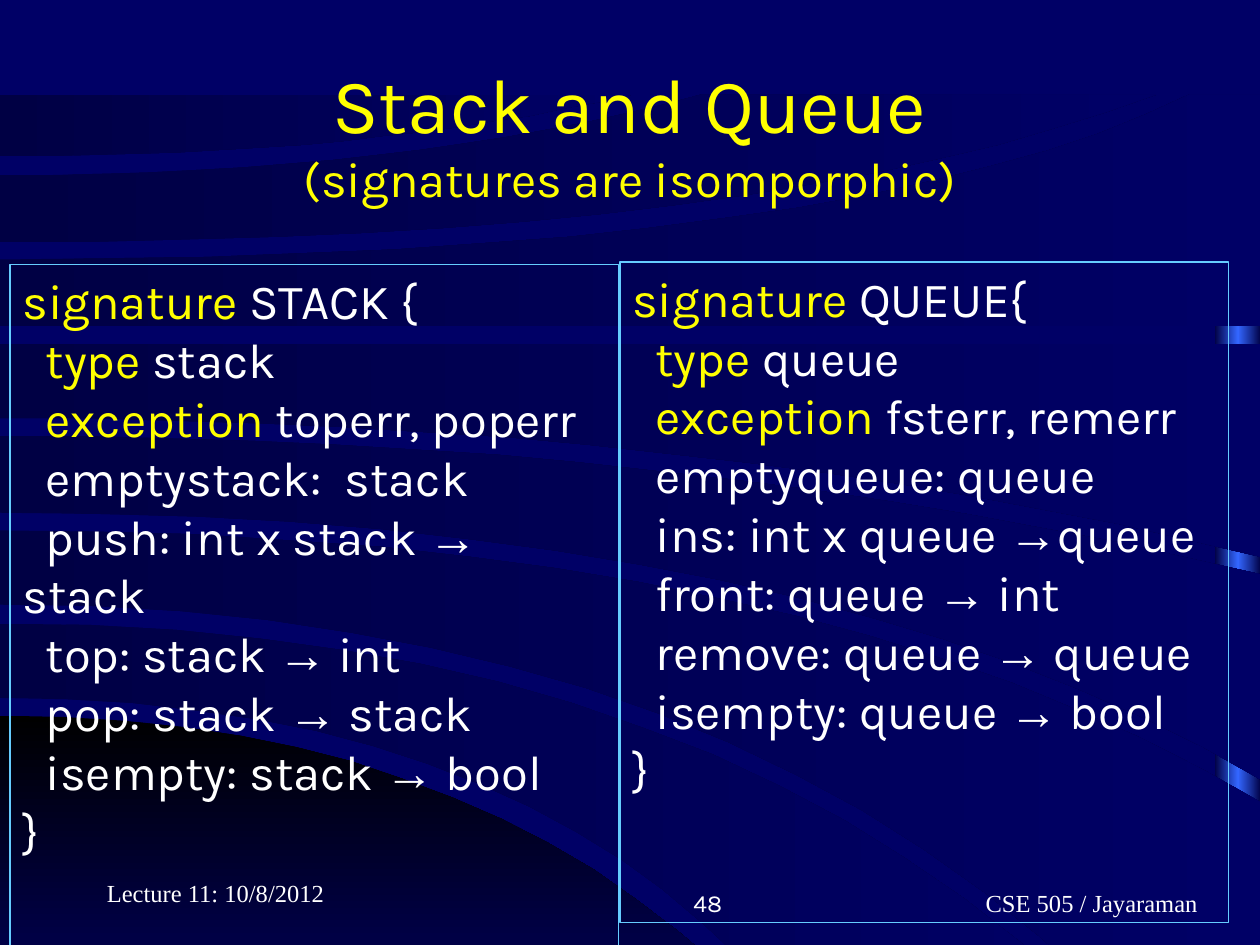
from copy import deepcopy

from pptx import Presentation
from pptx.dml.color import RGBColor
from pptx.enum.shapes import MSO_SHAPE as SHAPE
from pptx.enum.text import MSO_ANCHOR as ANCHOR, PP_ALIGN as ALIGN
from pptx.util import Inches, Pt

NAVY, DARK, WHITE, YELLOW = "000066", "000044", "FFFFFF", "FFFF00"
STEPS = 16


def rgb(value):
    return RGBColor.from_string(value)


def paint_gradient(sp, first, last, angle=0):
    sp.shadow.inherit = False
    sp.line.fill.background()
    sp.fill.gradient()
    sp.fill.gradient_angle = angle
    for stop, color in zip(sp.fill.gradient_stops, (first, last)):
        stop.color.rgb = rgb(color)


prs = Presentation()
prs.slide_width, prs.slide_height = Inches(10), Inches(7.5)
s = prs.slides.add_slide(prs.slide_layouts[5])
s.background.fill.solid()
s.background.fill.fore_color.rgb = rgb(NAVY)

# Bright bar at the right edge, seen between the bands
bar = s.shapes.add_shape(SHAPE.RECTANGLE, Inches(9.64), Inches(0.77),
                         Inches(0.37), Inches(7.5))
paint_gradient(bar, DARK, DARK)
stops = bar.fill._fill._gradFill.gsLst
stops.insert(1, deepcopy(stops[0]))
middle = bar.fill.gradient_stops[1]
middle.position = 0.5
middle.color.rgb = rgb("3366FF")

# Curved bands in hundredths of an inch, the dark corner first. Each edge
# starts level at the left: start y, bend x, end x, end y
bands = [
    ((568, 404, 629, 827), (827, 300, 629, 827)),
    ((495, 575, 894, 825), (554, 439, 643, 825)),
    ((421, 640, 1001, 637), (480, 590, 910, 825)),
    ((346, 543, 1001, 456), (407, 640, 1001, 619)),
    ((273, 500, 1001, 273), (332, 560, 1001, 442)),
    ((206, 680, 944, 75), (259, 500, 1001, 259)),
    ((139, 321, 557, 75), (192, 610, 918, 75)),
    ((75, 250, 502, 75), (124, 293, 502, 75)),
]
corners = {2: (1001, 825), 5: (1001, 75)}  # where the two edges do not meet
for i, edges in enumerate(bands):
    upper, lower = [
        [(2 * t * (1 - t) * bend + t * t * x, (1 - t * t) * start + t * t * y)
         for t in (n / STEPS for n in range(STEPS + 1))]
        for start, bend, x, y in edges]
    corner = [corners[i]] if i in corners else []
    points = upper + corner + lower[::-1]
    builder = s.shapes.build_freeform(*points[0], scale=Inches(0.01))
    builder.add_line_segments(points[1:])
    band = builder.convert_to_shape()
    if i == 0:
        paint_gradient(band, "000000", NAVY, 270)
    else:
        paint_gradient(band, DARK, NAVY)

# Footer: date, course, slide number
footers = [
    ("Lecture 11: 10/8/2012", 0.75, 6.75, 2.08, ALIGN.LEFT, "Times New Roman"),
    ("CSE 505 / Jayaraman", 7.58, 6.83, 2.17, ALIGN.CENTER, "Times New Roman"),
    ("48", 3.75, 6.83, 2.08, ALIGN.RIGHT, "Karla"),
]
for text, left, top, width, align, font in footers:
    sp = s.shapes.add_textbox(Inches(left), Inches(top), Inches(width), Inches(0.5))
    tf = sp.text_frame
    tf.word_wrap = True
    tf.vertical_anchor = ANCHOR.BOTTOM
    p = tf.paragraphs[0]
    p.text, p.alignment = text, align
    p.font.name, p.font.size = font, Pt(14)
    p.font.color.rgb = rgb(WHITE)

# Title, moved in front of the bands
title = s.shapes.title
s.shapes._spTree.append(title._element)
title.left, title.top = Inches(0.75), Inches(0.42)
title.width, title.height = Inches(8.5), Inches(1.25)
tf = title.text_frame
tf.vertical_anchor = ANCHOR.MIDDLE
tf.text = "Stack and Queue\n(signatures are isomporphic)"
for p, size in zip(tf.paragraphs, (44, 28)):
    p.alignment = ALIGN.CENTER
    p.font.name, p.font.size = "Karla", Pt(size)
    p.font.color.rgb = rgb(YELLOW)

# Signatures: bars enclose keywords and arrows
stack = """|signature| STACK {
  |type| stack
  |exception| toperr, poperr
  emptystack:  stack
  push: int x stack |→| stack
  top: stack |→| int
  pop: stack |→| stack
  isempty: stack |→| bool
}"""
queue = """|signature| QUEUE{
  |type| queue
  |exception| fsterr, remerr
  emptyqueue: queue
  ins: int x queue |→|queue
  front: queue |→| int
  remove: queue |→| queue
  isempty: queue |→| bool
}"""
for code, left, top, height in [(stack, 0.08, 2.1, 5.71), (queue, 4.92, 2.08, 5.24)]:
    sp = s.shapes.add_shape(SHAPE.RECTANGLE, Inches(left), Inches(top),
                            Inches(4.83), Inches(height))
    sp.shadow.inherit = False
    sp.fill.background()
    sp.line.color.rgb = rgb("66CCFF")
    sp.line.width = Pt(0.75)
    tf = sp.text_frame
    tf.word_wrap = True
    tf.vertical_anchor = ANCHOR.TOP
    for i, line in enumerate(code.split("\n")):
        p = tf.add_paragraph() if i else tf.paragraphs[0]
        p.alignment = ALIGN.LEFT
        p.font.size = Pt(28)
        for j, piece in enumerate(line.split("|")):
            if piece:
                r = p.add_run()
                r.text = piece
                r.font.name = "Arial" if piece == "→" else "Karla"
                keyword = j % 2 and piece != "→"
                r.font.color.rgb = rgb(YELLOW if keyword else WHITE)

prs.save("out.pptx")
